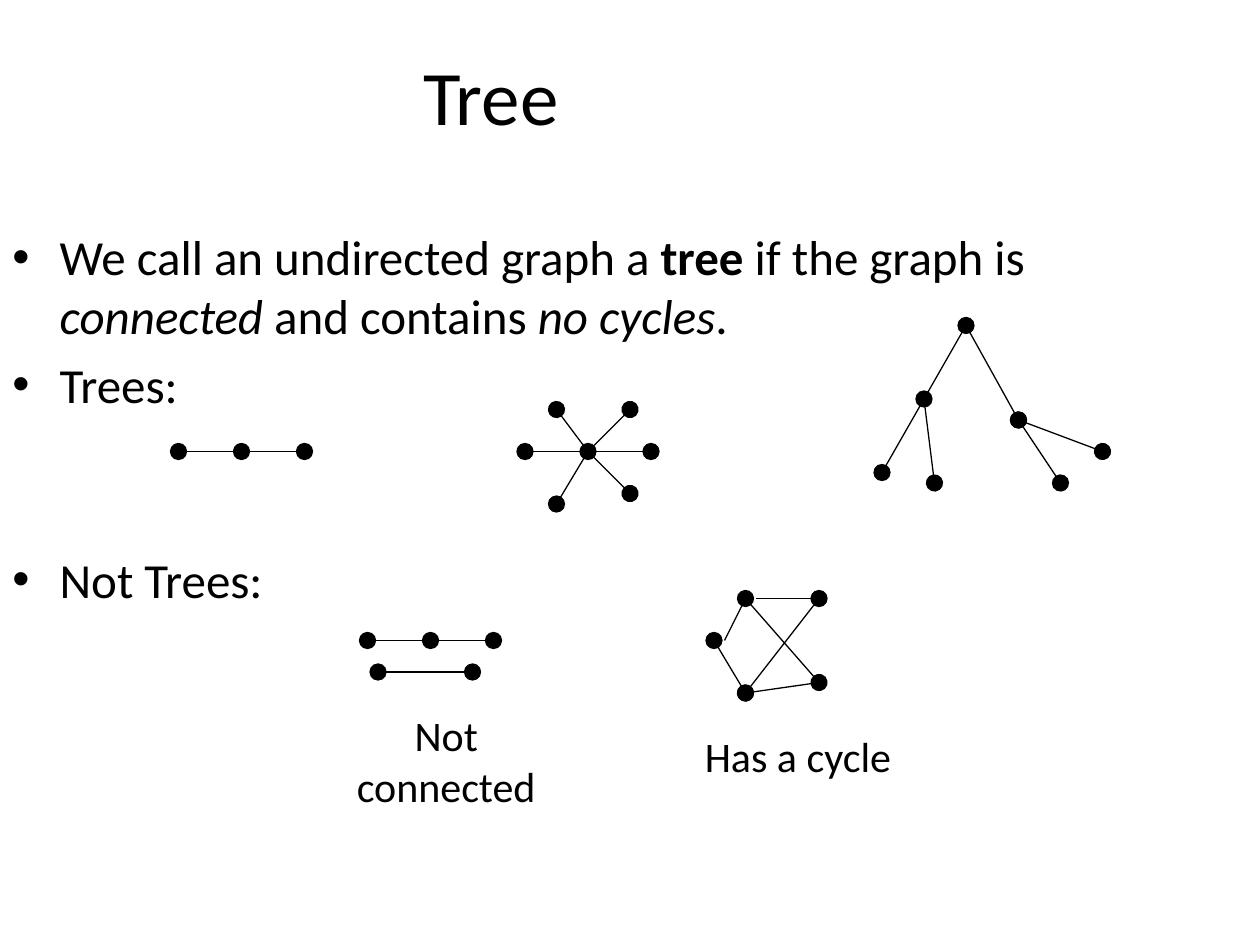
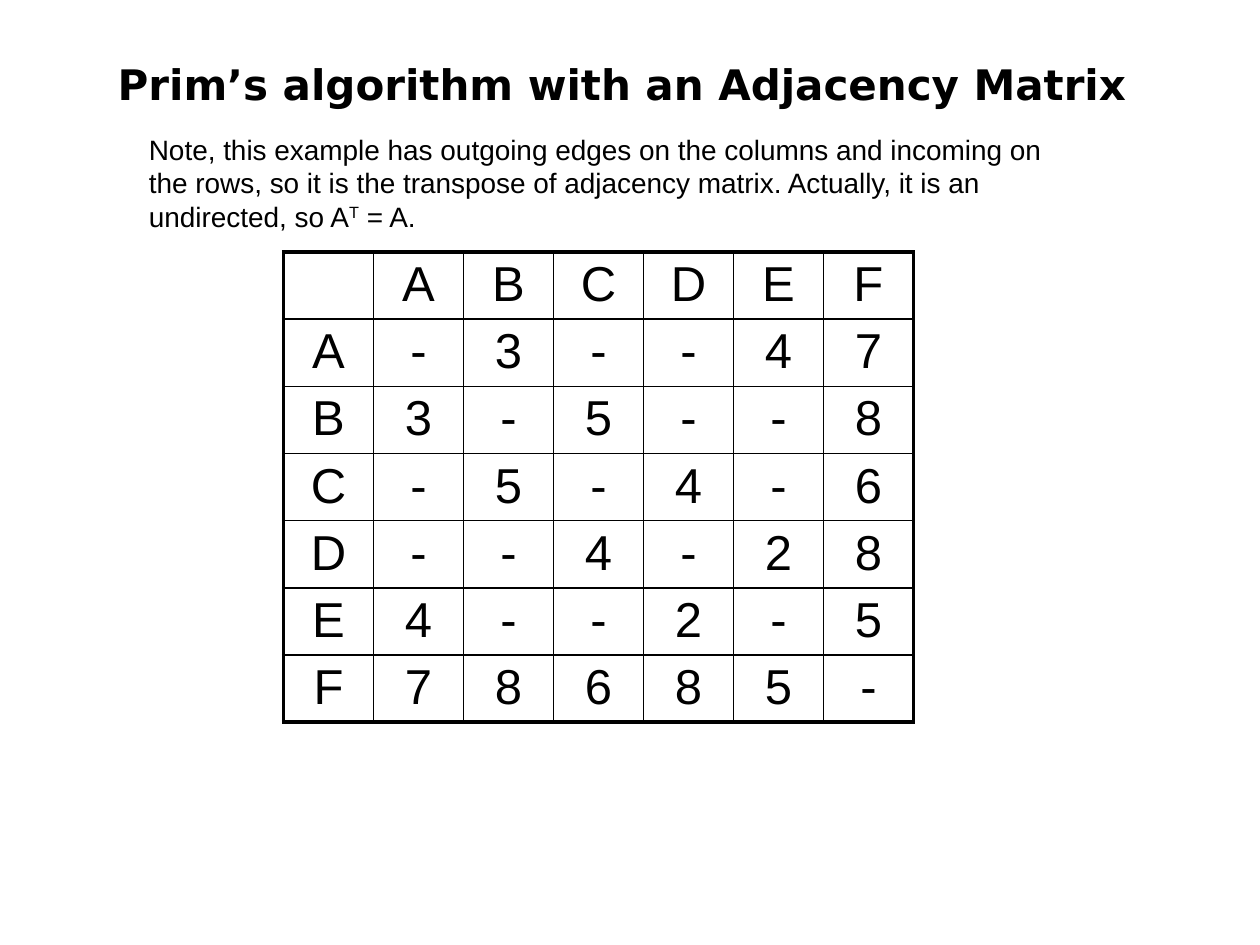
from lxml.etree import SubElement
from pptx import Presentation
from pptx.dml.color import RGBColor
from pptx.enum.shapes import MSO_CONNECTOR as Connector
from pptx.enum.text import MSO_ANCHOR as Anchor, PP_ALIGN as Align
from pptx.oxml import parse_xml
from pptx.oxml.ns import nsdecls, qn
from pptx.util import Pt

BLACK = "000000"
BODY_FONT, TABLE_FONT, HEADING_FONT = "Calibri", "Arial", "DejaVu Sans"
GRID = 6  # points per step of the graph drawings
PLAIN, BOLD, ITALIC, RAISED = "plain", "bold", "italic", "raised"

# Each graph: origin in points, nodes in grid steps, edges as (from, to, dots)
PATH = (
    (102, 258),
    {"left": (0, 0), "middle": (6, 0), "right": (12, 0)},
    [("left", "middle", "both"), ("middle", "right", "to")],
)
STAR = (
    (300, 234),
    {"hub": (6, 4), "west": (0, 4), "east": (12, 4), "northeast": (10, 0),
     "southeast": (10, 8), "northwest": (3, 0), "southwest": (3, 9)},
    [("west", "hub", "both")]
    + [("hub", tip, "to") for tip in
       ("east", "northeast", "southeast", "northwest", "southwest")],
)
BINARY_TREE = (
    (504, 186),
    {"root": (8, 0), "left": (4, 7), "right": (13, 9), "leaf 1": (0, 14),
     "leaf 2": (5, 15), "leaf 3": (17, 15), "leaf 4": (21, 12)},
    [("left", "leaf 1", "both"), ("right", "leaf 3", "both"),
     ("root", "right", "both"), ("left", "root", "none"),
     ("left", "leaf 2", "to"), ("right", "leaf 4", "to")],
)
TWO_PATHS = (
    (210, 366),
    {"left": (0, 0), "middle": (6, 0), "right": (12, 0),
     "lower left": (1, 3), "lower right": (10, 3)},
    [("left", "middle", "both"), ("middle", "right", "to"),
     ("lower left", "lower right", "both")],
)
CYCLE = (
    (408, 342),
    {"west": (0, 4), "beside west": (1, 4), "top left": (3, 0),
     "beside top left": (4, 0), "top right": (10, 0),
     "bottom left": (3, 9), "bottom right": (10, 8)},
    [("west", "bottom left", "both"), ("beside top left", "top right", "to"),
     ("top left", "bottom right", "to"), ("beside west", "top left", "to"),
     ("bottom right", "bottom left", "to"),
     ("bottom left", "top right", "none")],
)

MATRIX = [" ABCDEF", "A-3--47", "B3-5--8", "C-5-4-6", "D--4-28", "E4--2-5", "F78685-"]


def color(hex_string):
    return RGBColor.from_string(hex_string)


def add_runs(paragraph, parts, font_name, size):
    """Add (text, style) parts in one font to a paragraph."""
    for text, style in parts:
        run = paragraph.add_run()
        run.text = text
        font = run.font
        font.name, font.size = font_name, Pt(size)
        font.color.rgb = color(BLACK)
        font.bold, font.italic = style == BOLD, style == ITALIC
        if style == RAISED:
            run._r.get_or_add_rPr().set("baseline", "30000")


def add_text(slide, box, parts, font_name, size, align=Align.CENTER, anchor=Anchor.TOP):
    """Add a wrapping text box and return its text frame."""
    text_frame = slide.shapes.add_textbox(*map(Pt, box)).text_frame
    text_frame.word_wrap = True
    text_frame.vertical_anchor = anchor
    text_frame.paragraphs[0].alignment = align
    add_runs(text_frame.paragraphs[0], parts, font_name, size)
    return text_frame


def add_bullet(paragraph, indent):
    properties = paragraph._p.get_or_add_pPr()
    properties.set("marL", str(Pt(indent)))
    properties.set("indent", str(-Pt(indent)))
    SubElement(properties, qn("a:buFont"), typeface="Arial")
    SubElement(properties, qn("a:buChar"), char="•")


def add_bullet_list(slide, box, items):
    """Add bulleted items, each given as (parts, space before)."""
    first_parts = items[0][0]
    text_frame = add_text(slide, box, first_parts, BODY_FONT, 28, Align.LEFT)
    for parts, space in items[1:]:
        paragraph = text_frame.add_paragraph()
        paragraph.space_before = Pt(space)
        add_runs(paragraph, parts, BODY_FONT, 28)
    for paragraph in text_frame.paragraphs:
        add_bullet(paragraph, 27)


def add_edge(slide, start, end, dots):
    edge = slide.shapes.add_connector(Connector.STRAIGHT, *map(Pt, start + end))
    edge.line.color.rgb = color(BLACK)
    edge.line.width = Pt(0.75)
    line = edge.line._get_or_add_ln()
    if dots == "both":
        SubElement(line, qn("a:headEnd"), type="oval", w="lg", len="lg")
    if dots != "none":
        SubElement(line, qn("a:tailEnd"), type="oval", w="lg", len="lg")
    SubElement(edge._element.spPr, qn("a:effectLst"))


def add_graph(slide, origin, nodes, edges):
    """Draw a graph whose nodes are the round ends of its edges."""
    left, top = origin
    places = {name: (left + x * GRID, top + y * GRID) for name, (x, y) in nodes.items()}
    for start, end, dots in edges:
        add_edge(slide, places[start], places[end], dots)


def set_borders(cell, widths):
    """Set the left, right, top and bottom border widths of a cell."""
    properties = cell._tc.get_or_add_tcPr()
    for position, (side, width) in enumerate(zip("LRTB", widths)):
        properties.insert(position, parse_xml(
            f'<a:ln{side} {nsdecls("a")} w="{Pt(width)}"><a:solidFill>'
            f'<a:srgbClr val="{BLACK}"/></a:solidFill></a:ln{side}>'))


def add_matrix(slide, box, rows):
    """Add a square table with a thick outer frame."""
    count = len(rows)
    table = slide.shapes.add_table(count, count, *map(Pt, box)).table
    table.first_row = table.horz_banding = False
    last, thin, thick = count - 1, 1, 2.25
    for i, values in enumerate(rows):
        table.rows[i].height = Pt(box[3] / count)
        table.columns[i].width = Pt(box[2] / count)
        for j, value in enumerate(values):
            cell = table.cell(i, j)
            cell.fill.background()
            cell.margin_top = cell.margin_bottom = Pt(3)
            outer = (j == 0, j == last, i == 0, i == last)
            set_borders(cell, [thick if edge else thin for edge in outer])
            if value.strip():
                paragraph = cell.text_frame.paragraphs[0]
                paragraph.alignment = Align.CENTER
                add_runs(paragraph, [(value, PLAIN)], TABLE_FONT, 28)


def build_tree_slide(slide):
    # Title and definition
    add_text(slide, (0, 18, 561, 72), [("Tree", PLAIN)], BODY_FONT, 44, anchor=Anchor.MIDDLE)
    definition = [
        ("We call an undirected graph a ", PLAIN), ("tree ", BOLD),
        ("if the graph is ", PLAIN), ("connected ", ITALIC),
        ("and contains ", PLAIN), ("no cycles", ITALIC), (".", PLAIN),
    ]
    add_bullet_list(slide, (0, 126, 624, 348), [
        (definition, 0),
        ([("Trees:", PLAIN)], 5.6),
        ([("Not Trees:", PLAIN)], 78),
    ])
    # Example graphs
    for graph in (BINARY_TREE, PATH, STAR, TWO_PATHS, CYCLE):
        add_graph(slide, *graph)
    # Captions of the graphs that are not trees
    add_text(slide, (186, 402, 138, 65), [("Not connected", PLAIN)], BODY_FONT, 24)
    add_text(slide, (390, 414, 132, 65), [("Has a cycle", PLAIN)], BODY_FONT, 24)


def build_matrix_slide(slide):
    # Adjacency matrix
    add_matrix(slide, (162, 144, 360, 268.8), MATRIX)
    # Heading and note
    heading = "Prim’s algorithm with an Adjacency Matrix"
    add_text(slide, (45, 30, 621, 36), [(heading, BOLD)], HEADING_FONT, 24)
    note = ("Note, this example has outgoing edges on the columns and incoming on "
            "the rows, so it is the transpose of adjacency matrix. "
            "Actually, it is an undirected, so A")
    add_text(slide, (78, 72, 546, 66), [(note, PLAIN), ("T", RAISED), (" = A.", PLAIN)],
             TABLE_FONT, 16, Align.LEFT)


def main():
    presentation = Presentation()
    presentation.slide_width, presentation.slide_height = Pt(720), Pt(540)
    blank = presentation.slide_layouts[6]
    for build in (build_tree_slide, build_matrix_slide):
        build(presentation.slides.add_slide(blank))
    presentation.save("out.pptx")


if __name__ == "__main__":
    main()
